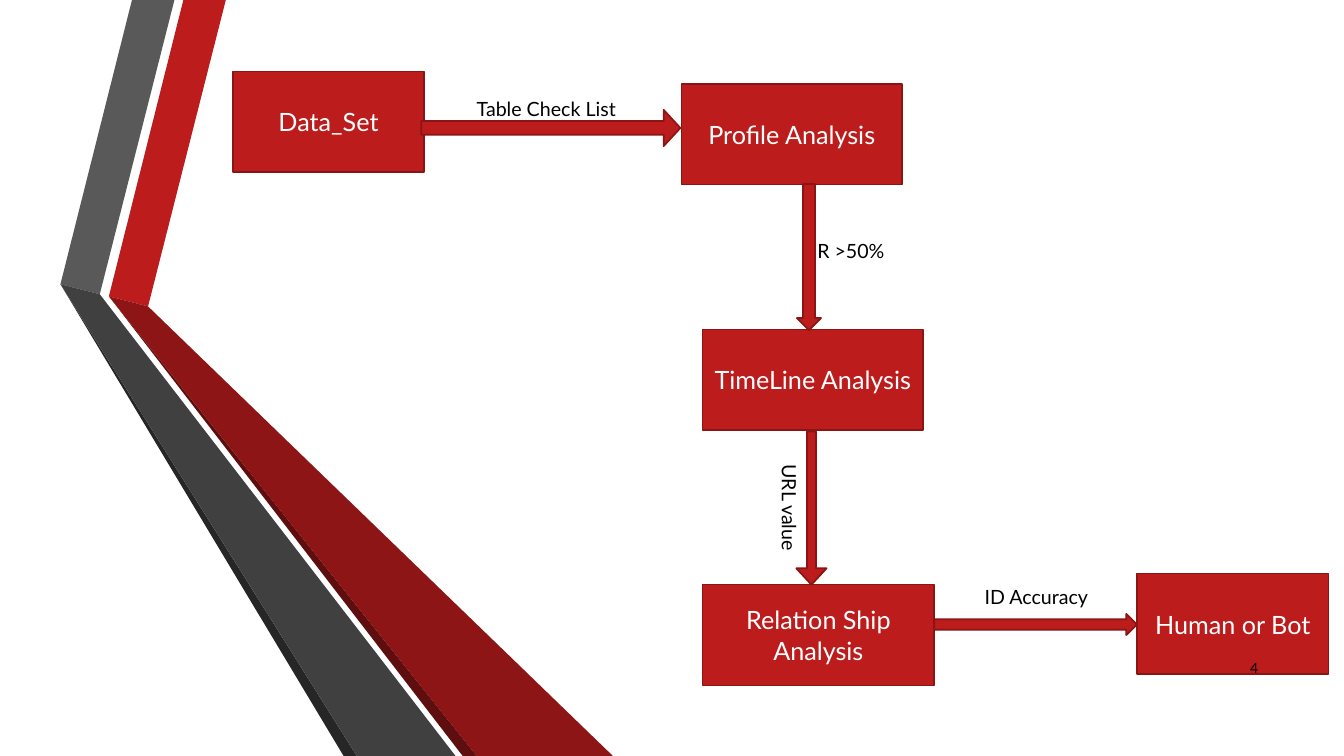
import dataclasses

import pptx
import pptx.dml.color
import pptx.enum.shapes
import pptx.enum.text
import pptx.util

Pt = pptx.util.Pt
Shape = pptx.enum.shapes.MSO_SHAPE
Align = pptx.enum.text.PP_ALIGN
Anchor = pptx.enum.text.MSO_ANCHOR


@dataclasses.dataclass(frozen=True)
class Theme:
    """Colours, font and type sizes of the slide."""
    red: str = "BC1C1C"
    outline: str = "8B1515"
    deep_red: str = "8D1515"
    dark_red: str = "5E0E0E"
    grey: str = "595959"
    deep_grey: str = "404040"
    dark_grey: str = "262626"
    white: str = "FFFFFF"
    black: str = "000000"
    font: str = "Lato"
    step_size: float = 18
    label_size: float = 14
    number_size: float = 10
    line_width: float = 1.25


class FlowPage:
    """Draws the elements of one flow chart slide in one theme."""

    def __init__(self, page, theme):
        """Keep the slide and its theme."""
        self.page = page
        self.theme = theme

    def fill(self, shape, colour):
        """Give a shape a plain fill and no shadow."""
        shape.shadow.inherit = False
        shape.fill.solid()
        shape.fill.fore_color.rgb = pptx.dml.color.RGBColor.from_string(colour)

    def set_text(self, shape, text, size, colour, align, anchor):
        """Put one formatted paragraph in a shape."""
        frame = shape.text_frame
        frame.text = text
        frame.word_wrap = True
        frame.vertical_anchor = anchor
        para = frame.paragraphs[0]
        para.alignment = align
        for span in para.runs:
            span.font.name = self.theme.font
            span.font.size = Pt(size)
            span.font.color.rgb = pptx.dml.color.RGBColor.from_string(colour)

    def ribbon(self, colour, points):
        """Draw one facet of the folded ribbons."""
        corners = [(Pt(x), Pt(y)) for x, y in points]
        builder = self.page.shapes.build_freeform(*corners[0])
        builder.add_line_segments(corners[1:], close=True)
        facet = builder.convert_to_shape()
        self.fill(facet, colour)
        facet.line.fill.background()

    def outlined(self, kind, left, top, width, height):
        """Add a red preset shape with a dark outline."""
        shape = self.page.shapes.add_shape(
            kind, Pt(left), Pt(top), Pt(width), Pt(height))
        self.fill(shape, self.theme.red)
        shape.line.color.rgb = pptx.dml.color.RGBColor.from_string(
            self.theme.outline)
        shape.line.width = Pt(self.theme.line_width)
        return shape

    def step(self, text, left, top, width):
        """Draw one process box."""
        box = self.outlined(Shape.FLOWCHART_PROCESS, left, top, width, 72)
        self.set_text(box, text, self.theme.step_size, self.theme.white,
                      Align.CENTER, Anchor.MIDDLE)

    def arrow(self, left, top, length, height, rotation=0, shaft=0.5, head=0.5):
        """Draw one block arrow, turned about its centre."""
        arrow = self.outlined(Shape.RIGHT_ARROW, left, top, length, height)
        arrow.adjustments[0] = shaft
        arrow.adjustments[1] = head
        arrow.rotation = rotation

    def text_box(self, text, left, top, width, height, size, align, anchor):
        """Add black text without fill or line."""
        box = self.page.shapes.add_textbox(
            Pt(left), Pt(top), Pt(width), Pt(height))
        self.set_text(box, text, size, self.theme.black, align, anchor)
        return box

    def label(self, text, left, top, width, rotation=0):
        """Name the condition beside an arrow."""
        box = self.text_box(text, left, top, width, 24.5,
                            self.theme.label_size, Align.LEFT, Anchor.TOP)
        box.rotation = rotation

    def number(self, text, left, top):
        """Add the slide number."""
        self.text_box(text, left, top, 43.2, 28.8,
                      self.theme.number_size, Align.RIGHT, Anchor.MIDDLE)


def draw_ribbons(flow):
    """Draw the grey and red ribbons, which share their fold corners."""
    theme = flow.theme
    grey_left, grey_right = (43.2, 203), (71.3, 210.2)
    red_left, red_right = (77.8, 211.7), (105.8, 218.9)
    facets = [
        (theme.red, [red_left, red_right, (161.3, 0), (131, 0)]),
        (theme.grey, [grey_right, (124.6, 0), (94.3, 0), grey_left]),
        (theme.dark_grey, [grey_left, (245.5, 540), (254.9, 540)]),
        (theme.dark_red, [red_left, (330.5, 540), (340.6, 540)]),
        (theme.deep_red, [red_left, (340.6, 540), (437.8, 540), red_right]),
        (theme.deep_grey, [grey_left, (254.9, 540), (325.4, 540),
                           (76.3, 216.7), grey_right]),
    ]
    for colour, points in facets:
        flow.ribbon(colour, points)


def draw_flow(flow):
    """Draw the process boxes, then the arrows and their labels."""
    steps = [
        ("Data_Set", 166.3, 51.1, 136.8),
        ("Human or Bot", 812.2, 409.7, 136.8),
        ("TimeLine Analysis", 501.8, 235.4, 157.7),
        ("Relation Ship Analysis", 501.8, 417.6, 165.6),
        ("Profile Analysis", 486.7, 59.8, 157.7),
    ]
    for step in steps:
        flow.step(*step)

    flow.arrow(525.6, 175, 104.4, 17.3, rotation=90)
    flow.arrow(301, 78.5, 185, 25.9, shaft=0.38, head=0.46)
    flow.arrow(667.4, 438.5, 144.7, 15.1)
    flow.arrow(524.9, 352.1, 109.4, 21.6, rotation=90, shaft=0.3, head=0.54)

    flow.label("Table Check List", 333.4, 65.5, 122.4)
    flow.label("R >50%", 576.7, 167, 76.3)
    flow.label("URL value", 525.6, 350.6, 76.3, rotation=90)
    flow.label("ID Accuracy", 696.2, 414, 122.4)


def main():
    """Build and save the deck."""
    deck = pptx.Presentation()
    deck.slide_width, deck.slide_height = Pt(960), Pt(540)
    flow = FlowPage(deck.slides.add_slide(deck.slide_layouts[6]), Theme())
    draw_ribbons(flow)
    draw_flow(flow)
    flow.number("4", 862.6, 463)
    deck.save("out.pptx")


main()
